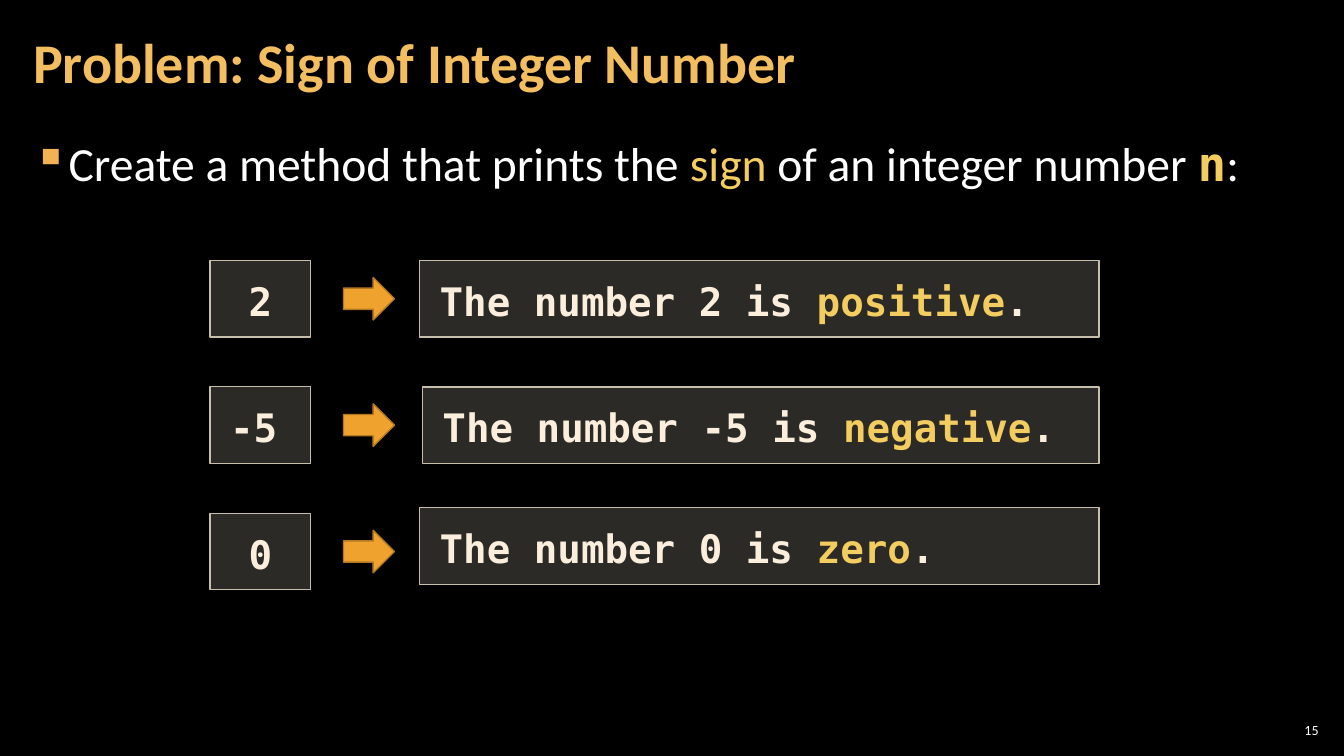
"""Build a slide that shows the sign of three sample integers."""
from lxml.etree import SubElement as Sub
from pptx import Presentation as Deck
from pptx.dml.color import RGBColor as Color
from pptx.enum.shapes import MSO_SHAPE as Kind
from pptx.enum.text import MSO_ANCHOR as Anchor, MSO_AUTO_SIZE as Auto, PP_ALIGN as Align
from pptx.oxml.ns import qn
from pptx.util import Pt

SANS, MONO = "Calibri", "DejaVu Sans Mono"
WHITE, CREAM, GOLD = "FFFFFF", "FBEEDC", "F3CD60"


def rgb(code):
    return Color.from_string(code)


def place(shape, left, top, width, height):
    shape.left, shape.top = Pt(left), Pt(top)
    shape.width, shape.height = Pt(width), Pt(height)


def mark(para, sign, color, indent):
    props = para._p.get_or_add_pPr()
    props.set("marL", str(Pt(indent)))
    props.set("indent", str(-Pt(indent)))
    Sub(Sub(props, qn("a:buClr")), qn("a:srgbClr"), val=color)
    Sub(props, qn("a:buChar"), char=sign)


def write(shape, *parts, size, color, font=SANS, bold=False, align=Align.LEFT,
          anchor=Anchor.TOP, pad=(8.64, 2.88), line=1.0, bullet=None, auto=Auto.NONE):
    frame = shape.text_frame
    frame.word_wrap, frame.auto_size = True, auto
    frame.vertical_anchor = anchor
    frame.margin_left = frame.margin_right = Pt(pad[0])
    frame.margin_top = frame.margin_bottom = Pt(pad[1])
    para = frame.paragraphs[0]
    if bullet:
        mark(para, *bullet)
    para.alignment, para.line_spacing = align, line
    para.space_before = Pt(0)
    for part in parts:
        text, look = part if isinstance(part, tuple) else (part, {})
        run = para.add_run()
        run.text = text
        run.font.size = Pt(size)
        run.font.name = look.get("font", font)
        run.font.bold = look.get("bold", bold)
        run.font.color.rgb = rgb(look.get("color", color))


def draw(slide, kind, spot, fill, edge, alpha=None):
    shape = slide.shapes.add_shape(kind, 0, 0, 0, 0)
    place(shape, *spot)
    shape.shadow.inherit = False
    shape.fill.solid()
    shape.fill.fore_color.rgb = rgb(fill)
    shape.line.color.rgb = rgb(edge)
    shape.line.width = Pt(1)
    if alpha:
        tone = shape._element.spPr.find(qn("a:solidFill")).find(qn("a:srgbClr"))
        Sub(tone, qn("a:alpha"), val=str(alpha * 1000))
    return shape


def panel(slide, left, top, width, *parts, align=Align.LEFT):
    shape = draw(slide, Kind.RECTANGLE, (left, top, width, 54.7), "D9D5C7", "C7BFAC", 20)
    write(shape, *parts, size=28, color=CREAM, font=MONO, bold=True, align=align,
          pad=(14.4, 8.64), line=1.1, auto=Auto.SHAPE_TO_FIT_TEXT)


def label(slide, spot, *parts, **look):
    box = slide.shapes.add_textbox(0, 0, 0, 0)
    place(box, *spot)
    write(box, *parts, **look)


def main():
    deck = Deck()
    deck.slide_width, deck.slide_height = Pt(960), Pt(540)
    slide = deck.slides.add_slide(deck.slide_layouts[5])
    slide.background.fill.solid()
    slide.background.fill.fore_color.rgb = rgb("000000")

    title = slide.shapes.title
    place(title, 15, 3, 754, 87)
    write(title, "Problem: Sign of Integer Number", size=40, color="F3BE60",
          bold=True, anchor=Anchor.MIDDLE, line=0.9)
    label(slide, (15, 90.7, 929.5, 438.5), "Create a method that prints the ",
          ("sign", {"color": GOLD}), " of an integer number ",
          ("n", {"font": MONO, "color": GOLD, "bold": True}), ":",
          size=34, color=WHITE, line=1.05, bullet=("▪", "F2B254", 24))

    cases = [("2", "positive", Align.CENTER, 299.7, 186),
             ("-5", "negative", Align.LEFT, 301.7, 276.4),
             ("0", "zero", Align.CENTER, 299.7, 362.7)]
    for row, (number, sign, align, left, top) in enumerate(cases):
        base = 186 + 90.3 * row
        panel(slide, 150, base, 72, number, align=align)
        draw(slide, Kind.RIGHT_ARROW, (245.4, base + 12.2, 36.4, 30.4), "F0A22E", "B27822")
        panel(slide, left, top, 785 - left, f"The number {number} is ",
              (sign, {"color": GOLD}), ".", align=Align.LEFT)

    label(slide, (911, 514, 33.8, 15.2), "15", size=10, color=WHITE,
          align=Align.RIGHT, anchor=Anchor.MIDDLE, pad=(2.88, 2.88))
    deck.save("out.pptx")


if __name__ == "__main__":
    main()
